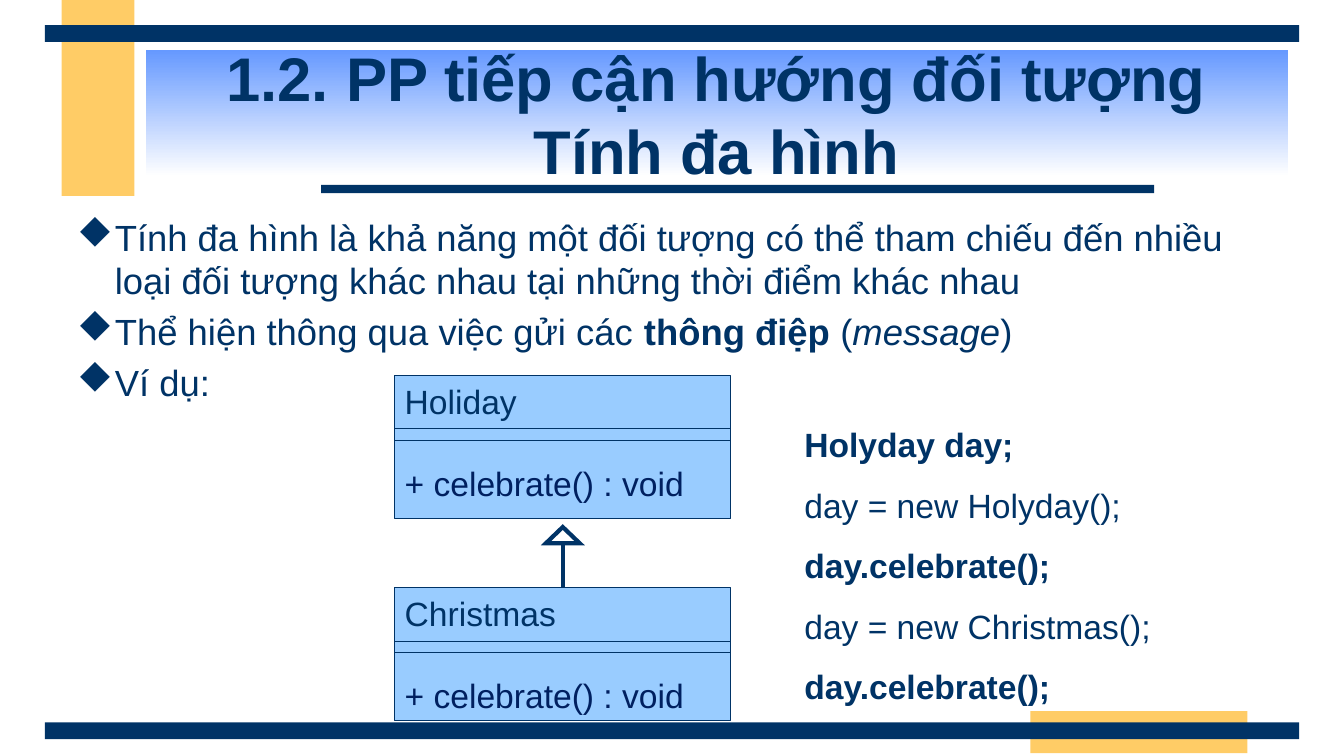
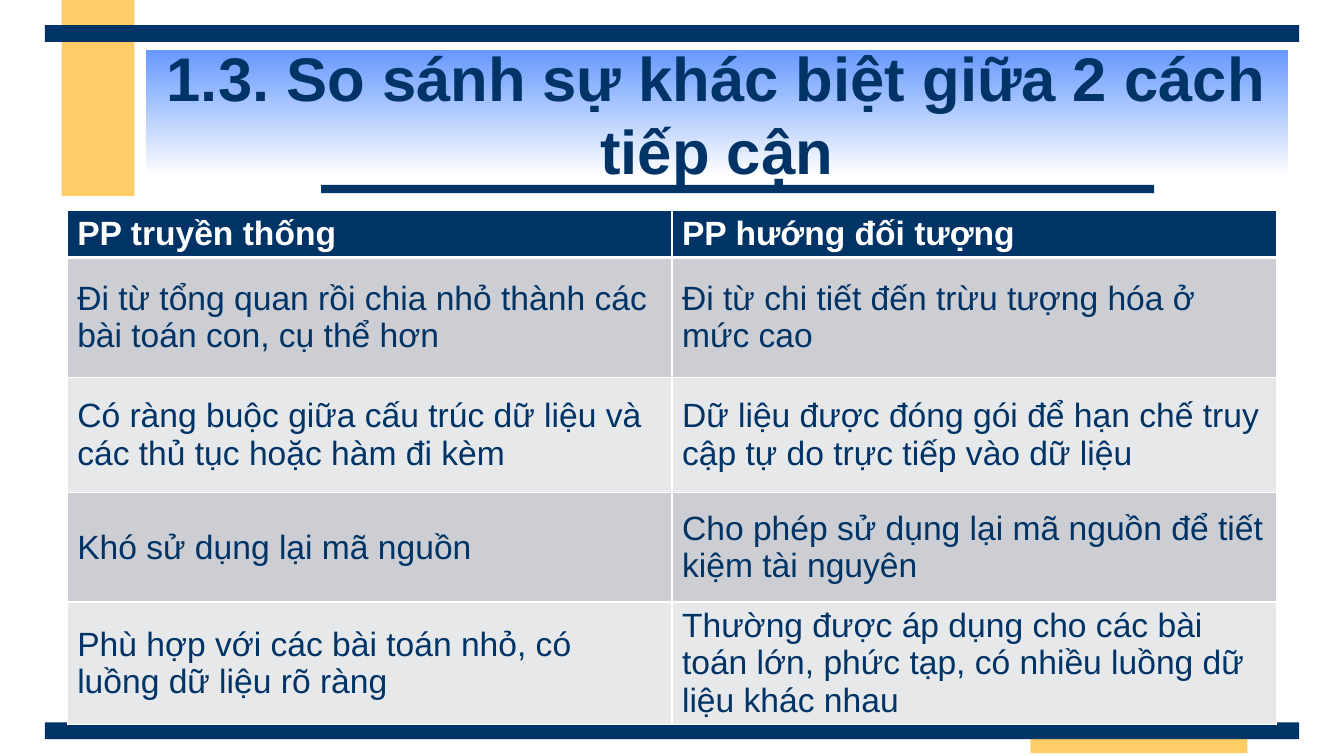
from lxml.etree import SubElement
from pptx import Presentation
from pptx.dml.color import RGBColor
from pptx.enum.shapes import MSO_CONNECTOR as CONNECTOR, MSO_SHAPE as SHAPE
from pptx.enum.text import MSO_ANCHOR as ANCHOR, MSO_AUTO_SIZE as AUTO_SIZE, PP_ALIGN as ALIGN
from pptx.oxml.ns import qn
from pptx.util import Pt

COLOURS = {
    "navy": "003366",
    "ink": "002060",
    "gold": "FFCC66",
    "blue": "6699FF",
    "sky": "99CCFF",
    "white": "FFFFFF",
    "grey": "CCCED3",
    "pale": "E7E8EA",
}
RGB = {name: RGBColor.from_string(value) for name, value in COLOURS.items()}


def add_text(para, text, colour="navy", **formats):
    span = para.add_run()
    span.text = text
    span.font.color.rgb = RGB[colour]
    values = {"name": "Arial", "size": Pt(24), "bold": False, "italic": False} | formats
    for name, value in values.items():
        setattr(span.font, name, value)


def add_line(page, start, end, width):
    line = page.shapes.add_connector(CONNECTOR.STRAIGHT, *map(Pt, start + end))
    line.line.color.rgb = RGB["navy"]
    line.line.width = Pt(width)
    SubElement(line._element.spPr, qn("a:effectLst"))
    return line


deck = Presentation()
deck.slide_width, deck.slide_height = Pt(960), Pt(540)

bands = [
    ("gold", 44, 0, 52, 140),
    ("gold", 736, 508, 155, 30),
    ("navy", 229.5, 132, 595, 6),
    ("navy", 32, 516, 896, 12),
    ("navy", 32, 18, 896, 12),
]
titles = [
    ["1.2. PP tiếp cận hướng đối tượng", "Tính đa hình"],
    ["1.3. So sánh sự khác biệt giữa 2 cách tiếp cận"],
]
pages = []
for title_lines in titles:
    page = deck.slides.add_slide(deck.slide_layouts[5])
    pages.append(page)
    for colour, *place in bands:
        band = page.shapes.add_shape(SHAPE.RECTANGLE, *map(Pt, place))
        band.shadow.inherit = False
        band.fill.solid()
        band.fill.fore_color.rgb = RGB[colour]
        band.line.fill.background()

    title = page.shapes.title
    title.left, title.top, title.width, title.height = map(Pt, (104, 36, 816, 90))
    title.fill.gradient()
    title.fill.gradient_angle = 270
    for stop, colour in zip(title.fill.gradient_stops, ("blue", "white")):
        stop.color.rgb = RGB[colour]
    frame = title.text_frame
    frame.auto_size = AUTO_SIZE.NONE
    frame.word_wrap = True
    frame.vertical_anchor = ANCHOR.MIDDLE
    para = frame.paragraphs[0]
    para.alignment = ALIGN.CENTER
    for index, text in enumerate(title_lines):
        if index:
            para.add_line_break()
        add_text(para, text, size=Pt(44), bold=True)

polymorphism, comparison = pages

bullets = [
    [("Tính đa hình là khả năng một đối tượng có thể tham chiếu đến nhiều "
      "loại đối tượng khác nhau tại những thời điểm khác nhau", {})],
    [("Thể hiện thông qua việc gửi các\u00a0", {}), ("thông điệp", {"bold": True}),
     ("\u00a0(", {}), ("message", {"italic": True}), (")", {})],
    [("Ví dụ:", {})],
]
body = polymorphism.shapes.add_textbox(Pt(48), Pt(150), Pt(864), Pt(354)).text_frame
body.word_wrap = True
for index, spans in enumerate(bullets):
    para = body.add_paragraph() if index else body.paragraphs[0]
    para.space_before = Pt(5.2)
    properties = para._p.get_or_add_pPr()
    properties.set("marL", str(Pt(27)))
    properties.set("indent", str(-Pt(27)))
    bullet_colour = SubElement(properties, qn("a:buClr"))
    SubElement(bullet_colour, qn("a:srgbClr"), val=COLOURS["navy"])
    SubElement(properties, qn("a:buFont"), typeface="Wingdings", pitchFamily="2", charset="2")
    SubElement(properties, qn("a:buChar"), char="u")
    for text, formats in spans:
        add_text(para, text, size=Pt(26), **formats)

code_lines = [
    ("Holyday day;", True),
    ("day = new Holyday();", False),
    ("day.celebrate();", True),
    ("day = new Christmas();", False),
    ("day.celebrate();", True),
]
code = polymorphism.shapes.add_textbox(Pt(567.5), Pt(285), Pt(318), Pt(225)).text_frame
code.word_wrap = True
for index, (text, bold) in enumerate(code_lines):
    para = code.add_paragraph() if index else code.paragraphs[0]
    para.line_spacing = 1.5
    add_text(para, text, bold=bold)

class_left, class_width = 282, 240
classes = [
    ("Holiday", 268.5, 102, (306, 314.5)),
    ("Christmas", 420, 94.5, (458.5, 466)),
]
for name, top, height, dividers in classes:
    class_box = polymorphism.shapes.add_shape(
        SHAPE.RECTANGLE, Pt(class_left), Pt(top), Pt(class_width), Pt(height))
    class_box.shadow.inherit = False
    class_box.fill.solid()
    class_box.fill.fore_color.rgb = RGB["sky"]
    class_box.line.color.rgb = RGB["navy"]
    class_box.line.width = Pt(0.75)
    frame = class_box.text_frame
    frame.word_wrap = False
    frame.vertical_anchor = ANCHOR.TOP
    heading, method = frame.paragraphs[0], frame.add_paragraph()
    heading.alignment = method.alignment = ALIGN.LEFT
    method.space_before = Pt(29.5)
    add_text(heading, name)
    add_text(method, "+ celebrate() : void", "ink")
    for divider in dividers:
        add_line(polymorphism, (class_left, divider), (class_left + class_width, divider), 0.75)

inheritance = add_line(polymorphism, (402, 420), (402, 388), 3)
inheritance.begin_connect(class_box, 0)
arrowhead = polymorphism.shapes.add_shape(
    SHAPE.ISOSCELES_TRIANGLE, Pt(390), Pt(376.5), Pt(24), Pt(11.5))
arrowhead.shadow.inherit = False
arrowhead.fill.background()
arrowhead.line.color.rgb = RGB["navy"]
arrowhead.line.width = Pt(3)
SubElement(arrowhead.line._get_or_add_ln(), qn("a:miter"), lim="800000")

rows = [
    ("PP truyền thống", "PP hướng đối tượng"),
    ("Đi từ tổng quan rồi chia nhỏ thành các bài toán con, cụ thể hơn",
     "Đi từ chi tiết đến trừu tượng hóa ở mức cao"),
    ("Có ràng buộc giữa cấu trúc dữ liệu và các thủ tục hoặc hàm đi kèm",
     "Dữ liệu được đóng gói để hạn chế truy cập tự do trực tiếp vào dữ liệu"),
    ("Khó sử dụng lại mã nguồn",
     "Cho phép sử dụng lại mã nguồn để tiết kiệm tài nguyên"),
    ("Phù hợp với các bài toán nhỏ, có luồng dữ liệu rõ ràng",
     "Thường được áp dụng cho các bài toán lớn, phức tạp, có nhiều luồng dữ liệu khác nhau"),
]
row_heights = [33, 85.5, 82.5, 78, 87]
table = comparison.shapes.add_table(
    len(rows), 2, Pt(48), Pt(150), Pt(864), Pt(sum(row_heights))).table
for row_index, (texts, height) in enumerate(zip(rows, row_heights)):
    table.rows[row_index].height = Pt(height)
    header = row_index == 0
    fill = "navy" if header else ("pale", "grey")[row_index % 2]
    widths = {"L": 1, "R": 1, "T": 3 if row_index == 1 else 1, "B": 3 if header else 1}
    for column, text in enumerate(texts):
        cell = table.cell(row_index, column)
        cell.vertical_anchor = ANCHOR.TOP if header else ANCHOR.MIDDLE
        for side, width in widths.items():
            border = SubElement(cell._tc.get_or_add_tcPr(), qn(f"a:ln{side}"), w=str(Pt(width)))
            border_fill = SubElement(border, qn("a:solidFill"))
            SubElement(border_fill, qn("a:srgbClr"), val=COLOURS["white"])
        cell.fill.solid()
        cell.fill.fore_color.rgb = RGB[fill]
        add_text(cell.text_frame.paragraphs[0], text, "white" if header else "navy", bold=header)

deck.save("out.pptx")
